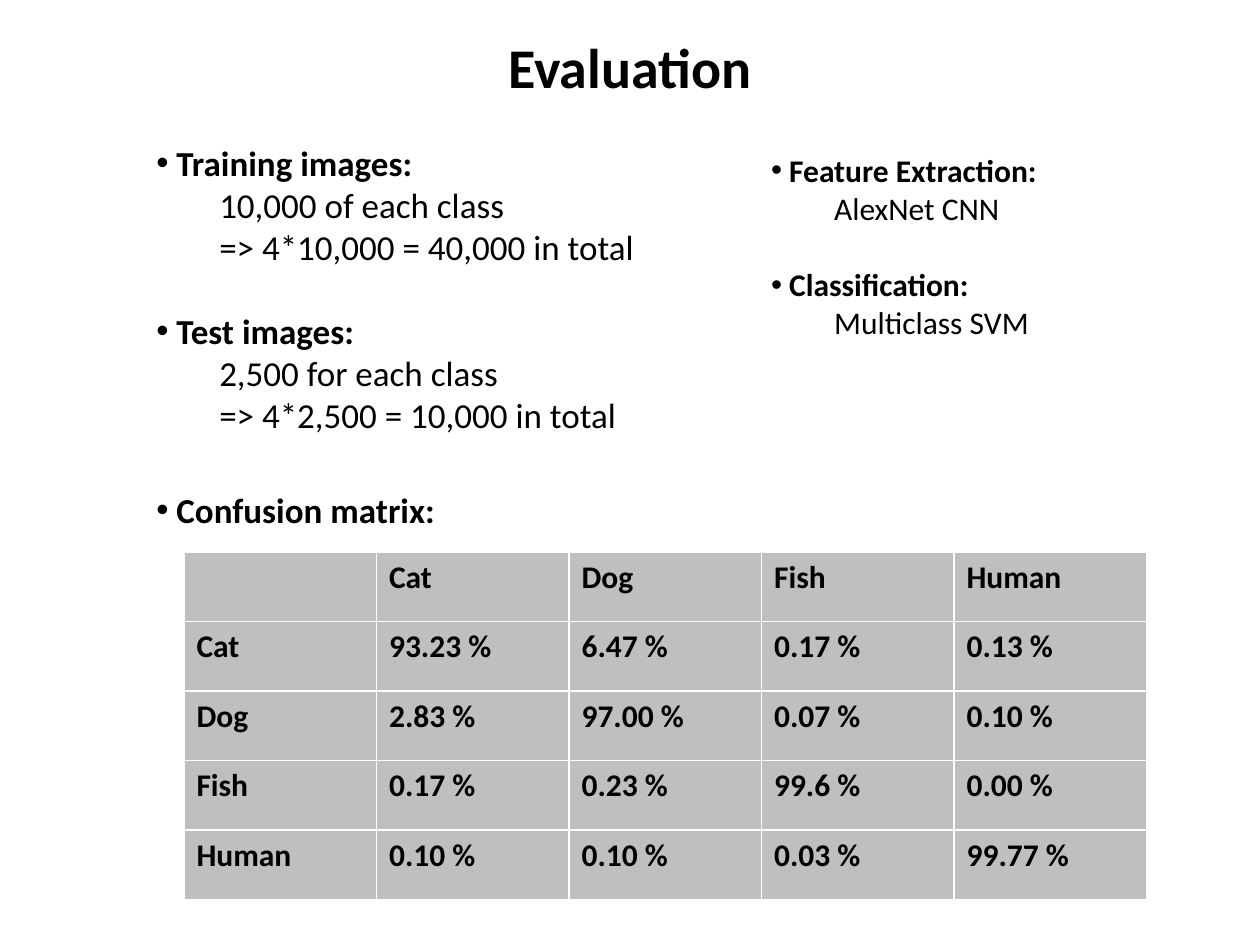
from lxml.etree import SubElement
from pptx import Presentation
from pptx.dml.color import RGBColor
from pptx.enum.text import MSO_ANCHOR, MSO_AUTO_SIZE, PP_ALIGN
from pptx.oxml.ns import qn
from pptx.util import Inches, Pt

BLACK = RGBColor(0x00, 0x00, 0x00)
GRAY = RGBColor(0xBF, 0xBF, 0xBF)
FONT = "Calibri"
LINE_HEIGHT = 1.22
COMPARISON_LAYOUT = 4

DATA_LIST = [
    ("Training images:", ["10,000 of each class", "=> 4*10,000 = 40,000 in total"]),
    ("Test images:", ["2,500 for each class", "=> 4*2,500 = 10,000 in total"]),
]
METHOD_LIST = [
    ("Feature Extraction:", ["AlexNet CNN"]),
    ("Classification:", ["Multiclass SVM"]),
]
MATRIX_LIST = [("Confusion matrix:", [])]
CONFUSION_MATRIX = [
    ["", "Cat", "Dog", "Fish", "Human"],
    ["Cat", "93.23 %", "6.47 %", "0.17 %", "0.13 %"],
    ["Dog", "2.83 %", "97.00 %", "0.07 %", "0.10 %"],
    ["Fish", "0.17 %", "0.23 %", "99.6 %", "0.00 %"],
    ["Human", "0.10 %", "0.10 %", "0.03 %", "99.77 %"],
]


class SlideBuilder:
    """Holds the style and the current slide; areas are percentages of its size."""

    def __init__(self, presentation):
        self.width = presentation.slide_width
        self.height = presentation.slide_height
        layout = presentation.slide_layouts[COMPARISON_LAYOUT]
        self.slide = presentation.slides.add_slide(layout)

    def area(self, left, top, width, height):
        return (
            int(self.width * left / 100),
            int(self.height * top / 100),
            int(self.width * width / 100),
            int(self.height * height / 100),
        )

    def place(self, shape, area):
        shape.left, shape.top, shape.width, shape.height = self.area(*area)
        frame = shape.text_frame
        frame.word_wrap = True
        frame.auto_size = MSO_AUTO_SIZE.SHAPE_TO_FIT_TEXT
        frame.vertical_anchor = MSO_ANCHOR.TOP
        return frame

    def add_run(self, paragraph, text, size, bold=True):
        run = paragraph.add_run()
        run.text = text
        run.font.name = FONT
        run.font.size = Pt(size)
        run.font.bold = bold
        run.font.color.rgb = BLACK

    def title(self, text, area, size):
        paragraph = self.place(self.slide.shapes.title, area).paragraphs[0]
        paragraph.alignment = PP_ALIGN.CENTER
        self.add_run(paragraph, text, size)

    def format_item(self, paragraph, indent, gap, bullet=None):
        paragraph.line_spacing = 1.0
        paragraph.space_before = Pt(gap)
        properties = paragraph._p.get_or_add_pPr()
        properties.set("marL", str(Inches(indent)))
        properties.set("indent", "0")
        if bullet:
            SubElement(properties, qn("a:buFont"), typeface="Arial")
            SubElement(properties, qn("a:buChar"), char=bullet)
        else:
            SubElement(properties, qn("a:buNone"))

    def bullet_list(self, index, groups, area, size):
        """Fill a body placeholder with bold headings and indented details."""
        frame = self.place(self.slide.placeholders[index], area)
        for number, (heading, details) in enumerate(groups):
            paragraph = frame.add_paragraph() if number else frame.paragraphs[0]
            gap = size * LINE_HEIGHT if number else 0
            self.format_item(paragraph, 0, gap, "•")
            self.add_run(paragraph, " " + heading, size)
            for detail in details:
                paragraph = frame.add_paragraph()
                paragraph.level = 1
                self.format_item(paragraph, 0.5, 0)
                self.add_run(paragraph, detail, size, bold=False)

    def table(self, rows, area, size):
        frame = self.slide.shapes.add_table(len(rows), len(rows[0]), *self.area(*area))
        frame.table.horz_banding = False
        for cell, text in zip(frame.table.iter_cells(), sum(rows, [])):
            cell.fill.solid()
            cell.fill.fore_color.rgb = GRAY
            if text:
                self.add_run(cell.text_frame.paragraphs[0], text, size)

    def remove_empty_placeholders(self):
        for shape in list(self.slide.placeholders):
            if not shape.text_frame.text:
                shape.element.getparent().remove(shape.element)


def main():
    presentation = Presentation()
    presentation.slide_width = Inches(10)
    presentation.slide_height = Inches(7.5)

    builder = SlideBuilder(presentation)
    builder.title("Evaluation", (0, 2.8, 100, 8.53), 32)
    builder.bullet_list(1, DATA_LIST, (11.4, 14.27, 60.6, 32.8), 20)
    builder.bullet_list(2, METHOD_LIST, (60.2, 15.33, 30.7, 21.6), 18)
    builder.bullet_list(3, MATRIX_LIST, (11.4, 51.07, 26.8, 5.87), 20)
    builder.table(CONFUSION_MATRIX, (14.6, 58.4, 76.4, 36.8), 18)
    builder.remove_empty_placeholders()

    presentation.save("out.pptx")


if __name__ == "__main__":
    main()
